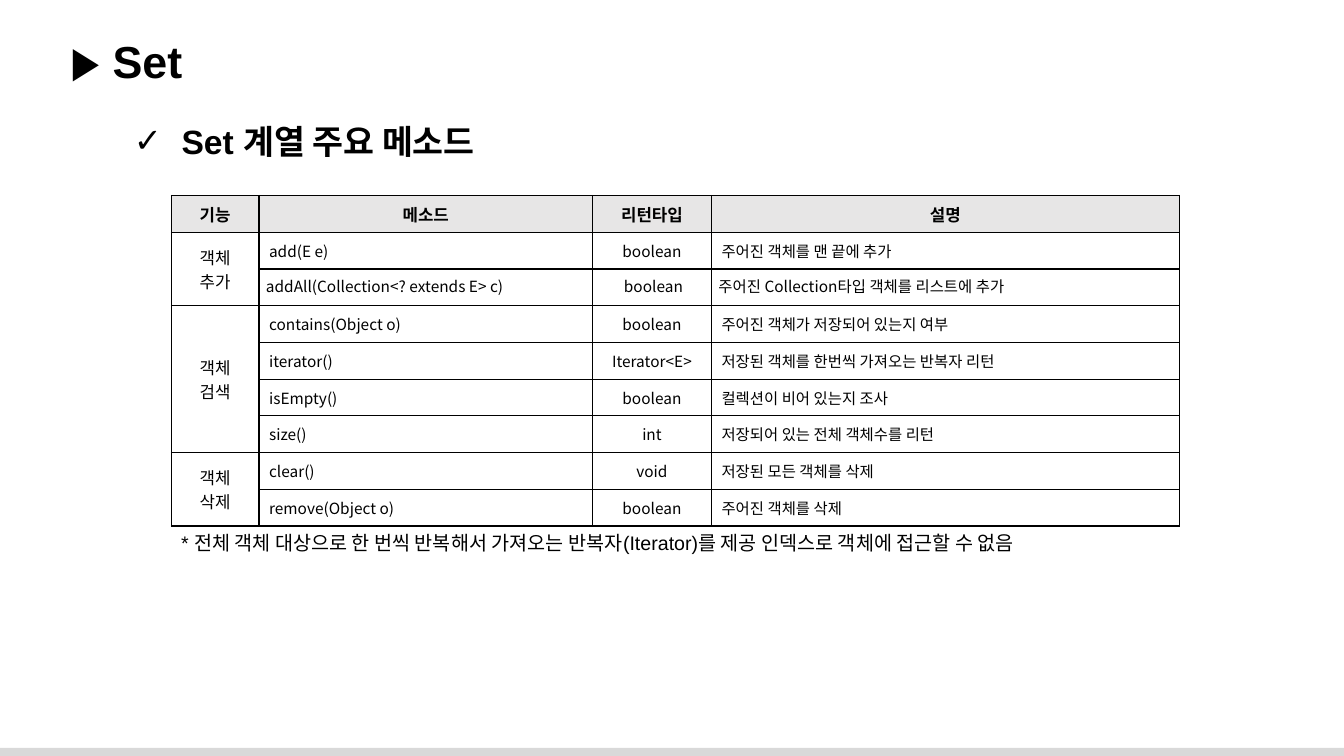
"""Build the slide that lists the main methods of the Set family."""
from lxml import etree
from pptx import Presentation
from pptx.dml.color import RGBColor
from pptx.enum.shapes import MSO_SHAPE
from pptx.enum.text import MSO_ANCHOR, MSO_AUTO_SIZE, PP_ALIGN
from pptx.oxml.ns import qn
from pptx.util import Pt

RECT = MSO_SHAPE.RECTANGLE
TOP, MIDDLE = MSO_ANCHOR.TOP, MSO_ANCHOR.MIDDLE
LEFT, CENTER = PP_ALIGN.LEFT, PP_ALIGN.CENTER
GROW = MSO_AUTO_SIZE.SHAPE_TO_FIT_TEXT

BLACK = RGBColor(0, 0, 0)
WHITE = RGBColor(255, 255, 255)
GREY = RGBColor(0xD9, 0xD9, 0xD9)
PALE = RGBColor(0xE7, 0xE6, 0xE6)
SANS = "Arial"
NOTO = "Noto Sans CJK KR"

COLS = [62.6, 238.3, 84.9, 334.2]
HIGH = 26.24
WIDE = (7.2, 3.6, 7.2, 3.6)
TIGHT = (5, 4.3, 2.9, 1.4)
TIGHT_ROW = 2
HEAD = ["기능", "메소드", "리턴타입", "설명"]
GROUPS = [
    ("객체\n추가", [
        ("add(E e)", "boolean", "주어진 객체를 맨 끝에 추가"),
        ("addAll(Collection<? extends E> c)", "boolean",
         "주어진 Collection타입 객체를 리스트에 추가"),
    ]),
    ("객체\n검색", [
        ("contains(Object o)", "boolean", "주어진 객체가 저장되어 있는지 여부"),
        ("iterator()", "Iterator<E>", "저장된 객체를 한번씩 가져오는 반복자 리턴"),
        ("isEmpty()", "boolean", "컬렉션이 비어 있는지 조사"),
        ("size()", "int", "저장되어 있는 전체 객체수를 리턴"),
    ]),
    ("객체\n삭제", [
        ("clear()", "void", "저장된 모든 객체를 삭제"),
        ("remove(Object o)", "boolean", "주어진 객체를 삭제"),
    ]),
]


def style(frame, size, face, bold=False, align=LEFT):
    """Format every run of a text frame."""
    for para in frame.paragraphs:
        para.alignment = align
        for run in para.runs:
            font = run.font
            font.size, font.bold, font.name = Pt(size), bold, face
            font.color.rgb = BLACK
            if face == NOTO:
                east = etree.SubElement(font._element, qn("a:ea"))
                east.set("typeface", face)


def add_text(slide, text, box, size, bold=False, wrap=True):
    """Add a text box and return its first paragraph."""
    frame = slide.shapes.add_textbox(*map(Pt, box)).text_frame
    frame.word_wrap = wrap
    frame.auto_size = GROW
    frame.text = text
    style(frame, size, SANS, bold)
    return frame.paragraphs[0]


def add_bullet(para, mark, indent):
    """Give a paragraph a hanging bullet."""
    props = para._p.get_or_add_pPr()
    props.set("marL", str(Pt(indent)))
    props.set("indent", str(-Pt(indent)))
    etree.SubElement(props, qn("a:buFont")).set("typeface", SANS)
    etree.SubElement(props, qn("a:buChar")).set("char", mark)


def add_edges(cell):
    """Draw a thin black line on the four sides of a cell."""
    props = cell._tc.get_or_add_tcPr()
    for side in "LRTB":
        line = etree.SubElement(props, qn(f"a:ln{side}"), w=str(Pt(1)))
        fill = etree.SubElement(line, qn("a:solidFill"))
        etree.SubElement(fill, qn("a:srgbClr"), val=str(BLACK))


def fill_cell(cell, text, size, align, inset=WIDE, bold=False):
    """Write and align the text of a cell."""
    cell.text = text
    (cell.margin_left, cell.margin_top,
     cell.margin_right, cell.margin_bottom) = map(Pt, inset)
    cell.vertical_anchor = TOP if inset == TIGHT else MIDDLE
    style(cell.text_frame, size, NOTO, bold, align)


def add_grid(slide):
    """Add the table of methods, grouped by purpose."""
    count = 1 + sum(len(items) for _, items in GROUPS)
    table = slide.shapes.add_table(
        count, len(COLS), Pt(122.4), Pt(139.7),
        Pt(sum(COLS)), Pt(HIGH * count)).table
    for col, width in zip(table.columns, COLS):
        col.width = Pt(width)
    for num, row in enumerate(table.rows):
        row.height = Pt(HIGH)
        for cell in row.cells:
            add_edges(cell)
            cell.fill.solid()
            cell.fill.fore_color.rgb = WHITE if num else PALE
    for col, text in enumerate(HEAD):
        fill_cell(table.cell(0, col), text, 12, CENTER, bold=True)
    row = 1
    for label, items in GROUPS:
        first = table.cell(row, 0)
        first.merge(table.cell(row + len(items) - 1, 0))
        fill_cell(first, label, 12, CENTER)
        for item in items:
            inset = TIGHT if row == TIGHT_ROW else WIDE
            for col, text in enumerate(item, 1):
                align = CENTER if col == 2 else LEFT
                fill_cell(table.cell(row, col), text, 11, align, inset)
            row += 1


def add_band(slide):
    """Add the grey band along the bottom edge."""
    band = slide.shapes.add_shape(RECT, Pt(0), Pt(534.2), Pt(960), Pt(5.8))
    band.shadow.inherit = False
    band.fill.solid()
    band.fill.fore_color.rgb = GREY
    band.line.fill.background()


def main():
    """Build and save the slide."""
    deck = Presentation()
    deck.slide_width, deck.slide_height = Pt(960), Pt(540)
    slide = deck.slides.add_slide(deck.slide_layouts[6])
    add_band(slide)
    add_text(slide, "▶ Set", (43.2, 20.2, 907, 46), 32, bold=True)
    add_grid(slide)
    add_text(
        slide,
        "* 전체 객체 대상으로 한 번씩 반복해서 가져오는 반복자(Iterator)를 "
        "제공 인덱스로 객체에 접근할 수 없음",
        (122.4, 375.8, 720, 24.2), 14)
    topic = add_text(slide, "Set 계열 주요 메소드",
                     (88.6, 82.8, 282, 36), 24, bold=True, wrap=False)
    add_bullet(topic, "✓", 34)
    deck.save("out.pptx")


if __name__ == "__main__":
    main()
